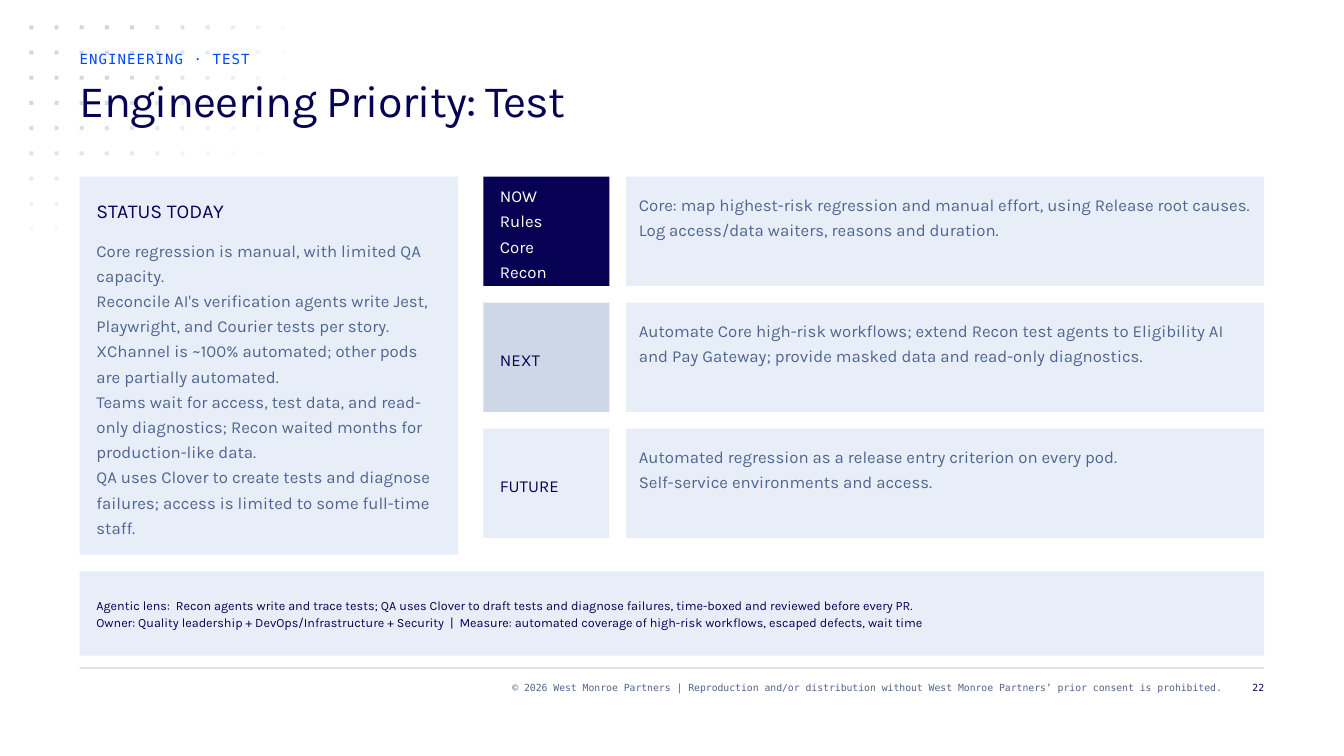
from math import hypot

from lxml.etree import SubElement
from pptx import Presentation
from pptx.dml.color import RGBColor
from pptx.enum.shapes import MSO_SHAPE
from pptx.enum.text import MSO_ANCHOR, MSO_AUTO_SIZE, PP_ALIGN
from pptx.oxml.ns import qn
from pptx.util import Cm, Pt

NAVY = RGBColor(0x07, 0x01, 0x54)
BLUE = RGBColor(0x00, 0x47, 0xFF)
SLATE = RGBColor(0x50, 0x65, 0x8E)
MIST = RGBColor(0xCE, 0xD7, 0xE6)
PALE = RGBColor(0xE8, 0xEE, 0xF8)
WHITE = RGBColor(0xFF, 0xFF, 0xFF)
SANS, MONO = "Karla", "DejaVu Sans Mono"

# Page grid in centimetres
LEFT, TOP, WIDTH = 2.01, 4.45, 29.85
GAP, PAD, CARD_PAD = 0.42, 0.42, 0.32

STATUS = [
    "Core regression is manual, with limited QA capacity.",
    "Reconcile AI's verification agents write Jest, Playwright, and Courier tests per story.",
    "XChannel is ~100% automated; other pods are partially automated.",
    "Teams wait for access, test data, and read-only diagnostics; "
    "Recon waited months for production-like data.",
    "QA uses Clover to create tests and diagnose failures; "
    "access is limited to some full-time staff.",
]
HORIZONS = [
    ("NOW\nRules\nCore\nRecon", NAVY, WHITE,
     "Core: map highest-risk regression and manual effort, using Release root causes. "
     "Log access/data waiters, reasons and duration."),
    ("NEXT", MIST, NAVY,
     "Automate Core high-risk workflows; extend Recon test agents to Eligibility AI "
     "and Pay Gateway; provide masked data and read-only diagnostics."),
    ("FUTURE", PALE, NAVY,
     "Automated regression as a release entry criterion on every pod.\n"
     "Self-service environments and access."),
]
LENS = (
    "Agentic lens:  Recon agents write and trace tests; QA uses Clover to draft tests "
    "and diagnose failures, time-boxed and reviewed before every PR.\n"
    "Owner: Quality leadership + DevOps/Infrastructure + Security  |  Measure: automated "
    "coverage of high-risk workflows, escaped defects, wait time"
)
COPYRIGHT = (
    "© 2026 West Monroe Partners | Reproduction and/or distribution without "
    "West Monroe Partners’ prior consent is prohibited."
)


def write(tf, text, size, leading, color, font=SANS, align=PP_ALIGN.LEFT,
          anchor=MSO_ANCHOR.TOP, pad=(0, 0), spacing=0):
    tf.text = text
    tf.word_wrap = True
    tf.auto_size = MSO_AUTO_SIZE.NONE
    tf.vertical_anchor = anchor
    tf.margin_left = tf.margin_right = Cm(pad[0])
    tf.margin_top = tf.margin_bottom = Cm(pad[1])
    for p in tf.paragraphs:
        p.alignment = align
        p.line_spacing = Pt(leading)
        p.space_before = p.space_after = Pt(0)
        for r in p.runs:
            r.font.size = Pt(size)
            r.font.name = font
            r.font.color.rgb = color
            if spacing:
                r.font._element.set("spc", str(spacing))


def add_rect(slide, box, color):
    sp = slide.shapes.add_shape(MSO_SHAPE.RECTANGLE, *map(Cm, box))
    sp.shadow.inherit = False
    sp.fill.solid()
    sp.fill.fore_color.rgb = color
    sp.line.fill.background()
    return sp


def add_text(slide, box, *args, **kwargs):
    sp = slide.shapes.add_textbox(*map(Cm, box))
    write(sp.text_frame, *args, **kwargs)


def move(sp, box):
    sp.left, sp.top, sp.width, sp.height = map(Cm, box)


def add_dot_field(slide, left, top, pitch=0.635, dot=0.1):
    """Dots that fade out along an ellipse and stop at the status panel."""
    for row in range(9):
        for col in range(11 if row < 6 else 2):
            alpha = min(1, 1.53 * (1 - hypot(col / 11.1, row / 9.07)))
            if alpha <= 0:
                continue
            sp = add_rect(slide, (left + col * pitch, top + row * pitch, dot, dot), MIST)
            if alpha < 1:
                clr = sp._element.spPr.find(qn("a:solidFill"))[0]
                SubElement(clr, qn("a:alpha"), val=str(round(alpha * 100) * 1000))


def add_heading(slide, left, top, width):
    title = slide.shapes.title
    slide.shapes._spTree.append(title._element)
    move(title, (left, top + 0.64, width, 2.54))
    write(title.text_frame, "Engineering Priority: Test", 32, 36, NAVY, spacing=-60)
    add_text(slide, (left, top, width, 0.64), "ENGINEERING · TEST", 10, 12, BLUE,
             MONO, spacing=80)


def add_status(slide, left, top, width, height):
    add_rect(slide, (left, top, width, height), PALE)
    inner = width - 2 * PAD
    add_text(slide, (left + PAD, top + PAD, inner, 0.74), "STATUS TODAY", 14, 21, NAVY)
    body = slide.placeholders[1]
    slide.shapes._spTree.append(body._element)
    move(body, (left + PAD, top + 1.48, inner, height - 1.48 - PAD))
    write(body.text_frame, "\n".join(STATUS), 12, 18, SLATE)
    for p in body.text_frame.paragraphs:
        pPr = p._p.get_or_add_pPr()
        pPr.set("marL", "0")
        pPr.set("indent", "0")
        SubElement(pPr, qn("a:buNone"))


def add_horizons(slide, left, top, width, pitch=3.175, label_width=3.18):
    height = pitch - GAP
    card_left = left + label_width + GAP
    card_width = width - label_width - GAP
    for i, (label, fill, color, text) in enumerate(HORIZONS):
        y = top + i * pitch
        sp = add_rect(slide, (left, y, label_width, height), fill)
        write(sp.text_frame, label, 12, 18, color, anchor=MSO_ANCHOR.MIDDLE, pad=(PAD, 0))
        sp = add_rect(slide, (card_left, y, card_width, height), PALE)
        write(sp.text_frame, text, 12, 18, SLATE, pad=(CARD_PAD, CARD_PAD))


def add_lens(slide, left, top, width, height):
    sp = add_rect(slide, (left, top, width, height), PALE)
    write(sp.text_frame, LENS, 9, 12, NAVY, anchor=MSO_ANCHOR.MIDDLE, pad=(PAD, 0))


def add_footer(slide, left, top, width):
    add_rect(slide, (left, top, width, 0.03), MIST)
    right = left + width
    for text, end, w, color in ((COPYRIGHT, right - 1.06, 24.77, SLATE),
                                ("22", right, 0.85, NAVY)):
        add_text(slide, (end - w, top + 0.33, w, 0.64), text, 7, 9, color, MONO,
                 PP_ALIGN.RIGHT)


def main():
    prs = Presentation()
    prs.slide_width, prs.slide_height = Cm(33.87), Cm(19.05)
    slide = prs.slides.add_slide(prs.slide_layouts[1])

    status_size = 9.53
    horizons_left = LEFT + status_size + 0.64
    add_dot_field(slide, 0.74, 0.64)
    add_footer(slide, LEFT, 16.82, WIDTH)
    add_status(slide, LEFT, TOP, status_size, status_size)
    add_horizons(slide, horizons_left, TOP, LEFT + WIDTH - horizons_left)
    add_lens(slide, LEFT, TOP + status_size + GAP, WIDTH, 2.12)
    add_heading(slide, LEFT, 1.27, 26.04)

    prs.save("out.pptx")


if __name__ == "__main__":
    main()
